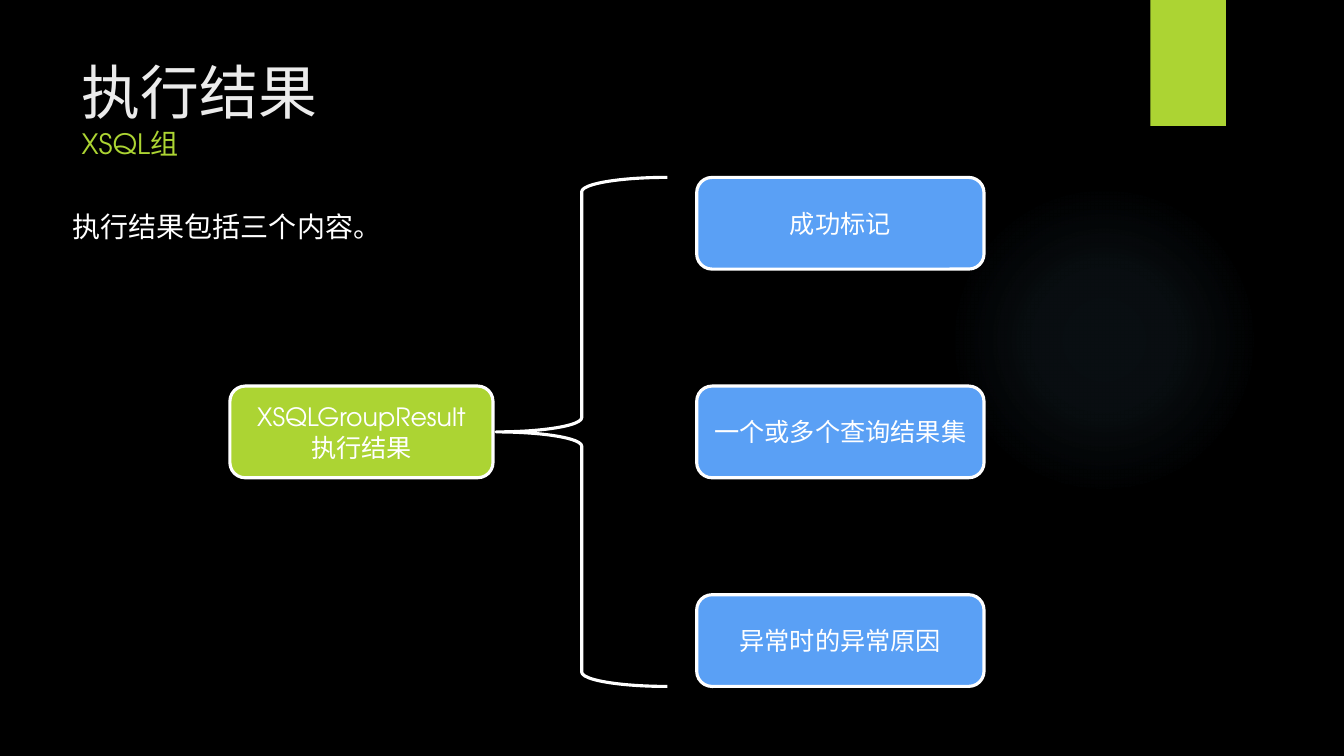
import dataclasses

import lxml.etree
import pptx
import pptx.dml.color
import pptx.enum.shapes
import pptx.enum.text
import pptx.oxml.ns
import pptx.util

Inches = pptx.util.Inches
Kind = pptx.enum.shapes.MSO_SHAPE
Align = pptx.enum.text.PP_ALIGN
Anchor = pptx.enum.text.MSO_ANCHOR
qn = pptx.oxml.ns.qn

FONT = "TeX Gyre Adventor"
WHITE, GREEN, BLUE, SKY = "FFFFFF", "ACD433", "5AA0F5", "7AC4F0"


@dataclasses.dataclass
class Part:
    kind: int
    left: float
    top: float
    width: float
    height: float
    fill: str = ""
    line: str = ""
    text: str = ""


def color(code: str):
    return pptx.dml.color.RGBColor.from_string(code)


def style(run, size: float, code: str) -> None:
    run.font.name = FONT
    run.font.size = pptx.util.Pt(size)
    run.font.color.rgb = color(code)


def place(shape, left: float, top: float, width: float, height: float) -> None:
    shape.left, shape.top = Inches(left), Inches(top)
    shape.width, shape.height = Inches(width), Inches(height)
    frame = shape.text_frame
    frame.word_wrap = True
    frame.auto_size = pptx.enum.text.MSO_AUTO_SIZE.NONE
    frame.vertical_anchor = Anchor.TOP


def draw(slide, part: Part):
    shape = slide.shapes.add_shape(
        part.kind, Inches(part.left), Inches(part.top),
        Inches(part.width), Inches(part.height))
    shape.shadow.inherit = False
    if part.fill:
        shape.fill.solid()
        shape.fill.fore_color.rgb = color(part.fill)
    else:
        shape.fill.background()
    if part.line:
        shape.line.color.rgb = color(part.line)
        shape.line.width = pptx.util.Pt(2.25)
    else:
        shape.line.fill.background()
    if part.text:
        frame = shape.text_frame
        frame.text = part.text
        frame.word_wrap = True
        frame.vertical_anchor = Anchor.MIDDLE
        for para in frame.paragraphs:
            para.alignment = Align.CENTER
            for run in para.runs:
                style(run, 18, WHITE)
    return shape


def glow(shape, code: str, stops: list[tuple[int, int]]) -> None:
    """Fill a shape with a round gradient of (place, opacity) percents."""
    shape.fill.gradient()
    grad = shape._element.spPr.find(qn("a:gradFill"))
    for child in list(grad):
        grad.remove(child)
    group = lxml.etree.SubElement(grad, qn("a:gsLst"))
    for spot, alpha in stops:
        stop = lxml.etree.SubElement(group, qn("a:gs"), pos=str(spot * 1000))
        tint = lxml.etree.SubElement(stop, qn("a:srgbClr"), val=code)
        lxml.etree.SubElement(tint, qn("a:alpha"), val=str(alpha * 1000))
    shade = lxml.etree.SubElement(grad, qn("a:path"), path="circle")
    lxml.etree.SubElement(shade, qn("a:fillToRect"),
                          l="50000", t="50000", r="50000", b="50000")


def main() -> None:
    deck = pptx.Presentation()
    deck.slide_width, deck.slide_height = Inches(13.33), Inches(7.5)
    slide = deck.slides.add_slide(deck.slide_layouts[1])
    slide.background.fill.solid()
    slide.background.fill.fore_color.rgb = color("000000")

    # Backdrop, kept behind the placeholders
    halo = draw(slide, Part(Kind.OVAL, 9.41, 1.83, 3.08, 3.08))
    glow(halo, SKY, [(0, 7), (36, 6), (69, 0)])
    tab = draw(slide, Part(Kind.RECTANGLE, 11.41, 0, 0.75, 1.25, GREEN))
    for rank, shape in enumerate((halo, tab)):
        slide.shapes._spTree.insert(2 + rank, shape._element)

    # Title with subtitle line
    title = slide.shapes.title
    place(title, 0.71, 0.5, 10.29, 1.53)
    para = title.text_frame.paragraphs[0]
    para.text = "执行结果\vXSQL组"
    para.alignment = Align.LEFT
    for run, size, code in zip(para.runs, (42, 20), ("EBEBEB", GREEN)):
        style(run, size, code)

    # Lead sentence
    body = slide.placeholders[1]
    place(body, 0.62, 2.03, 9.78, 4.59)
    para = body.text_frame.paragraphs[0]
    para.text = "执行结果包括三个内容。"
    props = para._p.get_or_add_pPr()
    props.set("marL", "0")
    props.set("indent", "0")
    lxml.etree.SubElement(props, qn("a:buNone"))
    para.space_before = pptx.util.Pt(0)
    style(para.runs[0], 20, WHITE)

    # Result, brace and its three contents
    box = Kind.ROUNDED_RECTANGLE
    draw(slide, Part(box, 2.28, 3.83, 2.61, 0.91, GREEN, WHITE,
                     "XSQLGroupResult\n执行结果"))
    draw(slide, Part(Kind.LEFT_BRACE, 4.92, 1.76, 1.7, 5.05, line=WHITE))
    items = ("成功标记", "一个或多个查询结果集", "异常时的异常原因")
    for row, text in enumerate(items):
        draw(slide, Part(box, 6.91, 1.76 + 2.07 * row, 2.85, 0.91,
                         BLUE, WHITE, text))

    deck.save("out.pptx")


if __name__ == "__main__":
    main()
